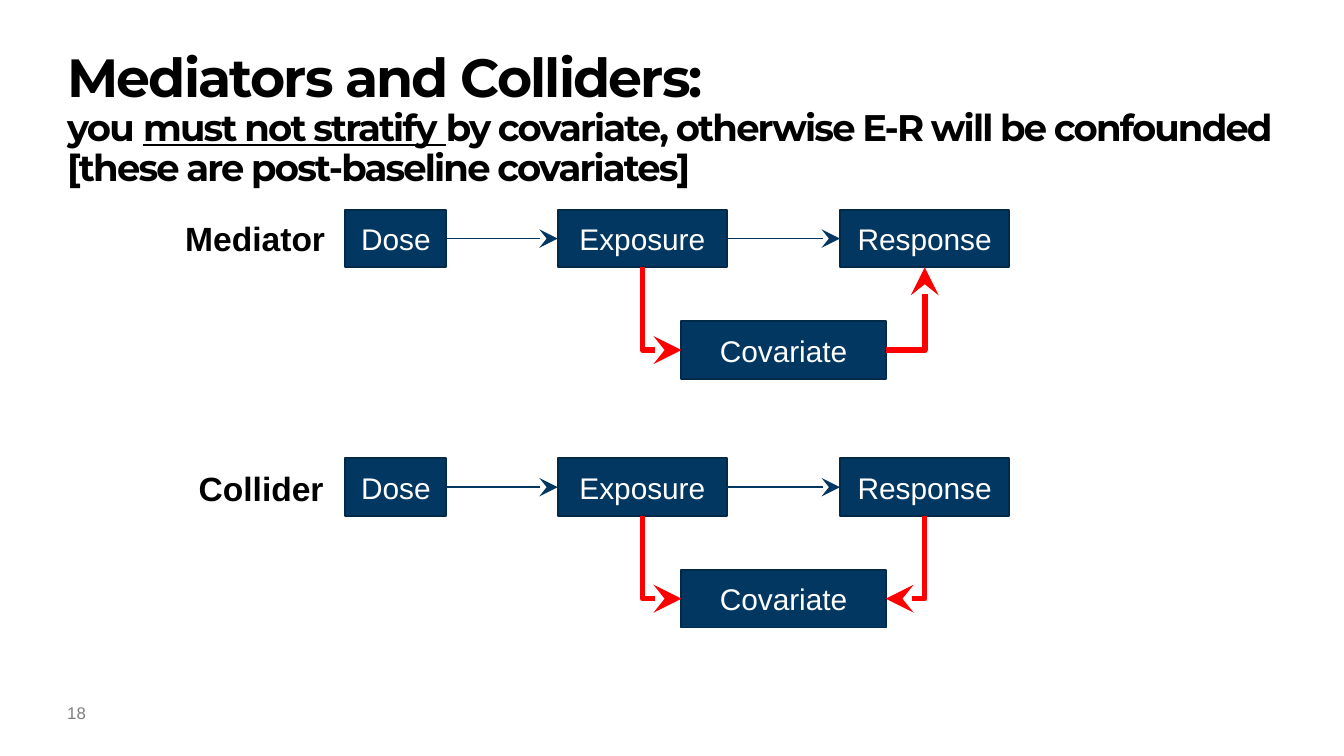
import pptx
import pptx.util
import pptx.dml.color
import pptx.enum.shapes
import pptx.enum.text
import pptx.oxml.ns

Inches = pptx.util.Inches
Pt = pptx.util.Pt
RGB = pptx.dml.color.RGBColor
Link = pptx.enum.shapes.MSO_CONNECTOR
Rect = pptx.enum.shapes.MSO_SHAPE.RECTANGLE
Anchor = pptx.enum.text.MSO_ANCHOR
Align = pptx.enum.text.PP_ALIGN
Fit = pptx.enum.text.MSO_AUTO_SIZE
qn = pptx.oxml.ns.qn

NAVY = RGB(0x02, 0x37, 0x61)
EDGE = RGB(0x01, 0x29, 0x48)
RED = RGB(0xFF, 0x00, 0x00)
BLACK = RGB(0x00, 0x00, 0x00)
WHITE = RGB(0xFF, 0xFF, 0xFF)
GRAY = RGB(0x7F, 0x7F, 0x7F)

WIDE = 10
HIGH = 0.43
DROP = 0.83
DOSE = (2.57, 0.75)
EXPO = (4.15, 1.26)
RESP = (6.25, 1.26)
COVAR = (5.07, 1.52)


def style(para, size, color, bold=False, face="Arial"):
    font = para.font
    font.name = face
    font.size = Pt(size)
    font.bold = bold
    font.color.rgb = color


def clear(frame):
    frame.margin_left = frame.margin_right = 0
    frame.margin_top = frame.margin_bottom = 0


def add_break(para, size):
    para.add_line_break()
    gap = para._p.findall(qn("a:br"))[-1]
    gap.append(gap.makeelement(qn("a:rPr"), {"sz": str(round(size * 100))}))


def add_run(para, text, size, under=False):
    run = para.add_run()
    run.text = text
    run.font.size = Pt(size)
    run.font.underline = under
    run._r.get_or_add_rPr().set("spc", "-100")


def add_title(slide):
    title = slide.shapes.title
    title.left, title.top = Inches(0.5), Inches(0.38)
    title.width, title.height = Inches(9), Inches(1.05)
    frame = title.text_frame
    clear(frame)
    frame.word_wrap = True
    frame.auto_size = Fit.NONE
    frame.vertical_anchor = Anchor.TOP
    para = frame.paragraphs[0]
    para.alignment = Align.LEFT
    para.line_spacing = 0.9
    style(para, 28.8, BLACK, True, "Montserrat")
    add_run(para, "Mediators and Colliders: ", 28.8)
    add_break(para, 28.8)
    add_run(para, "you ", 19.8)
    add_run(para, "must not stratify ", 19.8, True)
    add_run(para, "by covariate, otherwise E-R will be confounded "
            "[these are post-baseline covariates]", 19.8)


def add_label(slide, text, left, top, width):
    box = slide.shapes.add_textbox(
        Inches(left), Inches(top), Inches(width), Inches(0.4))
    box.text_frame.word_wrap = False
    box.text_frame.auto_size = Fit.SHAPE_TO_FIT_TEXT
    para = box.text_frame.paragraphs[0]
    para.text = text
    style(para, 18, BLACK, True)


def add_number(slide, text):
    box = slide.shapes.add_textbox(
        Inches(0.5), Inches(5.23), Inches(0.25), Inches(0.25))
    clear(box.text_frame)
    box.text_frame.word_wrap = True
    para = box.text_frame.paragraphs[0]
    para.text = text
    style(para, 9, GRAY)


def add_node(slide, text, slot, top):
    left, width = slot
    node = slide.shapes.add_shape(
        Rect, Inches(left), Inches(top), Inches(width), Inches(HIGH))
    node.shadow.inherit = False
    node.fill.solid()
    node.fill.fore_color.rgb = NAVY
    node.line.color.rgb = EDGE
    node.line.width = Pt(1)
    frame = node.text_frame
    frame.word_wrap = True
    frame.vertical_anchor = Anchor.MIDDLE
    para = frame.paragraphs[0]
    para.text = text
    para.alignment = Align.CENTER
    style(para, 16, WHITE)


def add_arrow(slide, kind, start, end, color, width):
    arrow = slide.shapes.add_connector(
        kind, *(Inches(v) for v in (*start, *end)))
    arrow.line.color.rgb = color
    arrow.line.width = Pt(width)
    props = arrow._element.spPr
    line = props.find(qn("a:ln"))
    line.append(line.makeelement(
        qn("a:tailEnd"), {"type": "stealth", "w": "lg", "len": "lg"}))
    props.append(props.makeelement(qn("a:effectLst"), {}))
    return props


def add_elbow(slide, start, end, down):
    turn = 0
    if down:
        (x1, y1), (x2, y2) = start, end
        side = 1 if x2 > x1 else -1
        mid_x, mid_y = (x1 + x2) / 2, (y1 + y2) / 2
        half_w, half_h = side * (y2 - y1) / 2, abs(x2 - x1) / 2
        start = (mid_x + half_w, mid_y - half_h)
        end = (mid_x - half_w, mid_y + half_h)
        turn = 180 + 90 * side
    props = add_arrow(slide, Link.ELBOW, start, end, RED, 3)
    props.find(qn("a:prstGeom")).set("prst", "bentConnector2")
    if turn:
        props.find(qn("a:xfrm")).set("rot", str(turn * 60000))


def add_flow(slide, top, collide):
    row = [("Dose", DOSE), ("Exposure", EXPO), ("Response", RESP)]
    for text, slot in row:
        add_node(slide, text, slot, top)
    mid = top + HIGH / 2
    for (_, a), (_, b) in zip(row, row[1:]):
        add_arrow(slide, Link.STRAIGHT, (sum(a), mid), (b[0], mid), NAVY, 1)
    add_node(slide, "Covariate", COVAR, top + DROP)
    base, low = top + HIGH, mid + DROP
    expo = (EXPO[0] + EXPO[1] / 2, base)
    resp = (RESP[0] + RESP[1] / 2, base)
    right = (sum(COVAR), low)
    add_elbow(slide, expo, (COVAR[0], low), True)
    if collide:
        add_elbow(slide, resp, right, True)
    else:
        add_elbow(slide, right, resp, False)


def main():
    deck = pptx.Presentation()
    deck.slide_width = Inches(WIDE)
    deck.slide_height = Inches(WIDE * 9 / 16)
    slide = deck.slides.add_slide(deck.slide_layouts[5])
    add_title(slide)
    add_number(slide, "18")
    add_flow(slide, 1.56, False)
    add_flow(slide, 3.41, True)
    add_label(slide, "Mediator", 1.28, 1.57, 1.25)
    add_label(slide, "Collider", 1.38, 3.43, 1.14)
    deck.save("out.pptx")


if __name__ == "__main__":
    main()
